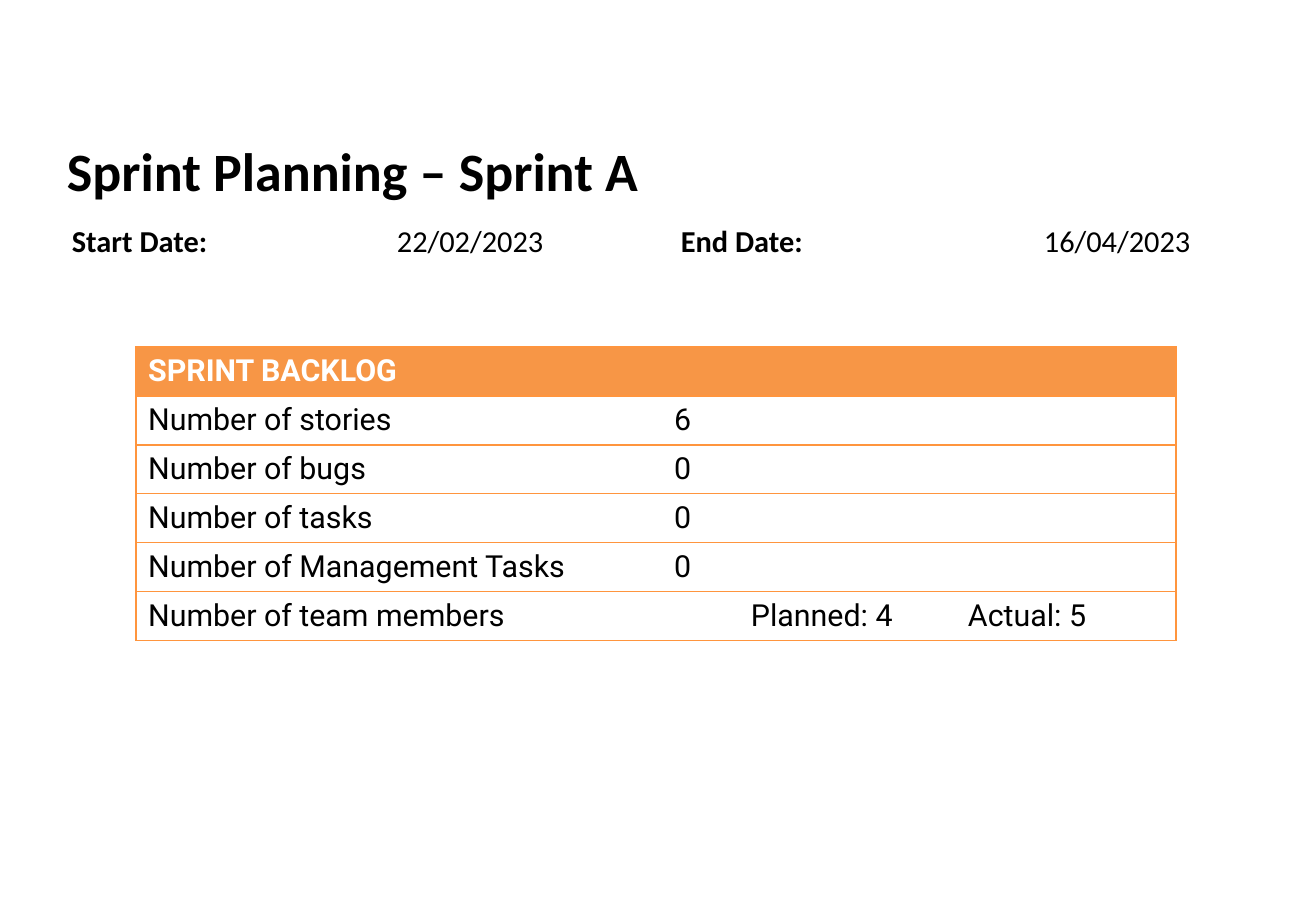
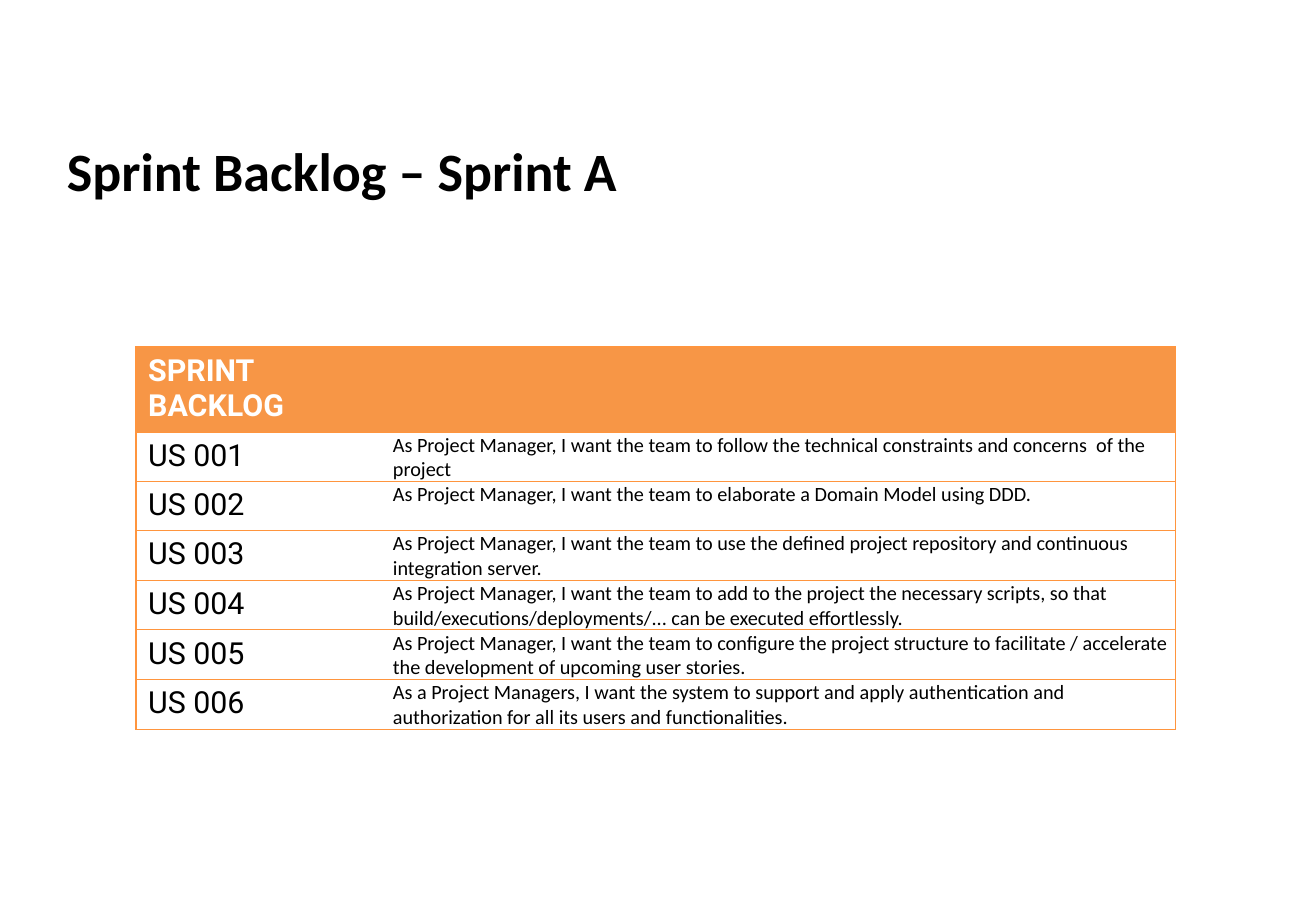
from pptx import Presentation
from pptx.dml.color import RGBColor
from pptx.oxml.ns import qn
from pptx.util import Emu, Pt
from lxml import etree

# Shared look
BLACK = RGBColor(0x00, 0x00, 0x00)
WHITE = RGBColor(0xFF, 0xFF, 0xFF)
HEADER_ORANGE = RGBColor(0xF7, 0x96, 0x46)
BORDER_ORANGE = RGBColor(0xFF, 0x95, 0x3E)
BODY_FONT, TABLE_FONT = "Calibri", "Roboto"
PLAIN_TABLE_STYLE = "{2D5ABB26-0587-4C30-8999-92F81FD0307C}"
PIXELS_PER_INCH = 121.5

# Regions as left, top, width, height in pixels
SLIDE_SIZE = (1316, 911)
TITLE_BOX = (55, 132, 1202, 77)
DATES_BOX = (60, 216, 1202, 95)
TABLE_LEFT, TABLE_TOP = 136, 347
ROW_HEIGHT = 49

DATES = [("Start Date:", "22/02/2023"), ("End Date:", "16/04/2023")]
DATE_TABS = (325, 609, 972)

BACKLOG_COUNTS = [
    ("Number of stories", "6"),
    ("Number of bugs", "0"),
    ("Number of tasks", "0"),
    ("Number of Management Tasks", "0"),
    ("Number of team members", "Planned: 4\tActual: 5"),
]
COUNT_COLUMNS = (526, 514)
TEAM_INDENT, TEAM_TAB = 89, 217

STORIES = [
    "As Project Manager, I want the team to follow the technical constraints "
    "and concerns  of the project",
    "As Project Manager, I want the team to elaborate a Domain Model using DDD.",
    "As Project Manager, I want the team to use the defined project repository "
    "and continuous integration server.",
    "As Project Manager, I want the team to add to the project the necessary "
    "scripts, so that build/executions/deployments/... can be executed effortlessly.",
    "As Project Manager, I want the team to configure the project structure to "
    "facilitate / accelerate the development of upcoming user stories.",
    "As a Project Managers, I want the system to support and apply "
    "authentication and authorization for all its users and functionalities.",
]
STORY_COLUMNS = (256, 784)


def px(pixels):
    return Emu(round(pixels * 914400 / PIXELS_PER_INCH))


def style(paragraph, size, name, color=BLACK, bold=False):
    font = paragraph.font
    font.size, font.name, font.bold = Pt(size), name, bold
    font.color.rgb = color


def set_tabs(paragraph, positions):
    """Add left tab stops, measured from the start of the text."""
    properties = paragraph._p.get_or_add_pPr()
    tab_list = etree.Element(qn("a:tabLst"))
    for position in positions:
        etree.SubElement(tab_list, qn("a:tab"), pos=str(px(position)), algn="l")
    defaults = properties.find(qn("a:defRPr"))
    if defaults is None:
        properties.append(tab_list)
    else:
        defaults.addprevious(tab_list)


def add_text_box(slide, box):
    frame = slide.shapes.add_textbox(*map(px, box)).text_frame
    frame.word_wrap = True
    return frame.paragraphs[0]


def add_title(slide, box, text):
    paragraph = add_text_box(slide, box)
    paragraph.text = text
    style(paragraph, 32, BODY_FONT, bold=True)


def add_dates(slide, box):
    paragraph = add_text_box(slide, box)
    paragraph.space_after = Pt(4)
    style(paragraph, 18, BODY_FONT)
    set_tabs(paragraph, DATE_TABS)
    for index, (label, date) in enumerate(DATES):
        label_run = paragraph.add_run()
        label_run.text = "\t" + label if index else label
        label_run.font.bold = True
        paragraph.add_run().text = "\t" + date


def set_borders(cell, sides):
    """Draw the named sides, given in schema order: L, R, T, B."""
    properties = cell._tc.get_or_add_tcPr()
    for index, side in enumerate(sides):
        line = etree.Element(qn("a:ln" + side), w=str(Pt(0.75)))
        fill = etree.SubElement(line, qn("a:solidFill"))
        etree.SubElement(fill, qn("a:srgbClr"), val=str(BORDER_ORANGE))
        properties.insert(index, line)


def add_backlog_table(slide, left, top, columns, entries):
    """Add the headed two-column table and return it."""
    rows = [("SPRINT BACKLOG", "")] + entries
    box = (left, top, sum(columns), ROW_HEIGHT * len(rows))
    table = slide.shapes.add_table(len(rows), 2, *map(px, box)).table
    table._tbl.tblPr.find(qn("a:tableStyleId")).text = PLAIN_TABLE_STYLE
    table.horz_banding = False
    for column, width in zip(table.columns, columns):
        column.width = px(width)
    for row_index, texts in enumerate(rows):
        header = row_index == 0
        for cell, text, outer in zip(table.rows[row_index].cells, texts, "LR"):
            cell.fill.solid()
            cell.fill.fore_color.rgb = HEADER_ORANGE if header else WHITE
            set_borders(cell, outer + "TB")
            cell.text = text
            style(cell.text_frame.paragraphs[0], 18, TABLE_FONT,
                  WHITE if header else BLACK, header)
    return table


def build_planning_slide(slide):
    add_title(slide, TITLE_BOX, "Sprint Planning – Sprint A")
    table = add_backlog_table(slide, TABLE_LEFT, TABLE_TOP, COUNT_COLUMNS,
                              BACKLOG_COUNTS)
    # Planned and actual team size share the last cell
    team_cell = table.cell(len(BACKLOG_COUNTS), 1)
    team_cell.margin_left = px(TEAM_INDENT)
    set_tabs(team_cell.text_frame.paragraphs[0], [TEAM_TAB])
    add_dates(slide, DATES_BOX)


def build_backlog_slide(slide):
    add_title(slide, TITLE_BOX, "Sprint Backlog – Sprint A")
    entries = [(f"US {number:03}", story)
               for number, story in enumerate(STORIES, start=1)]
    table = add_backlog_table(slide, TABLE_LEFT, TABLE_TOP, STORY_COLUMNS, entries)
    # Stories are set small and close to the cell edges
    for row_index in range(1, len(entries) + 1):
        cell = table.cell(row_index, 1)
        cell.margin_left = cell.margin_right = cell.margin_top = px(1)
        cell.margin_bottom = 0
        style(cell.text_frame.paragraphs[0], 12, BODY_FONT)


presentation = Presentation()
presentation.slide_width, presentation.slide_height = map(px, SLIDE_SIZE)
blank_layout = presentation.slide_layouts[6]
for build_slide in (build_planning_slide, build_backlog_slide):
    build_slide(presentation.slides.add_slide(blank_layout))
presentation.save("out.pptx")
